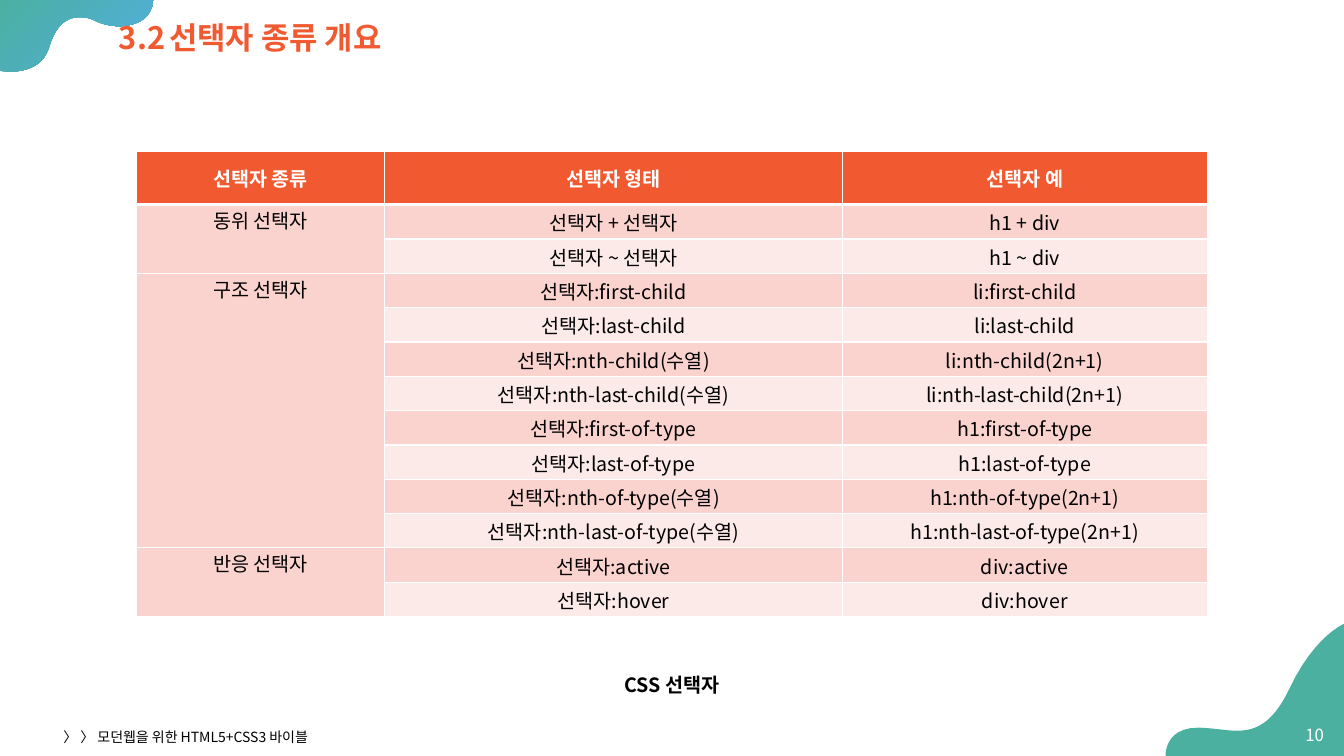
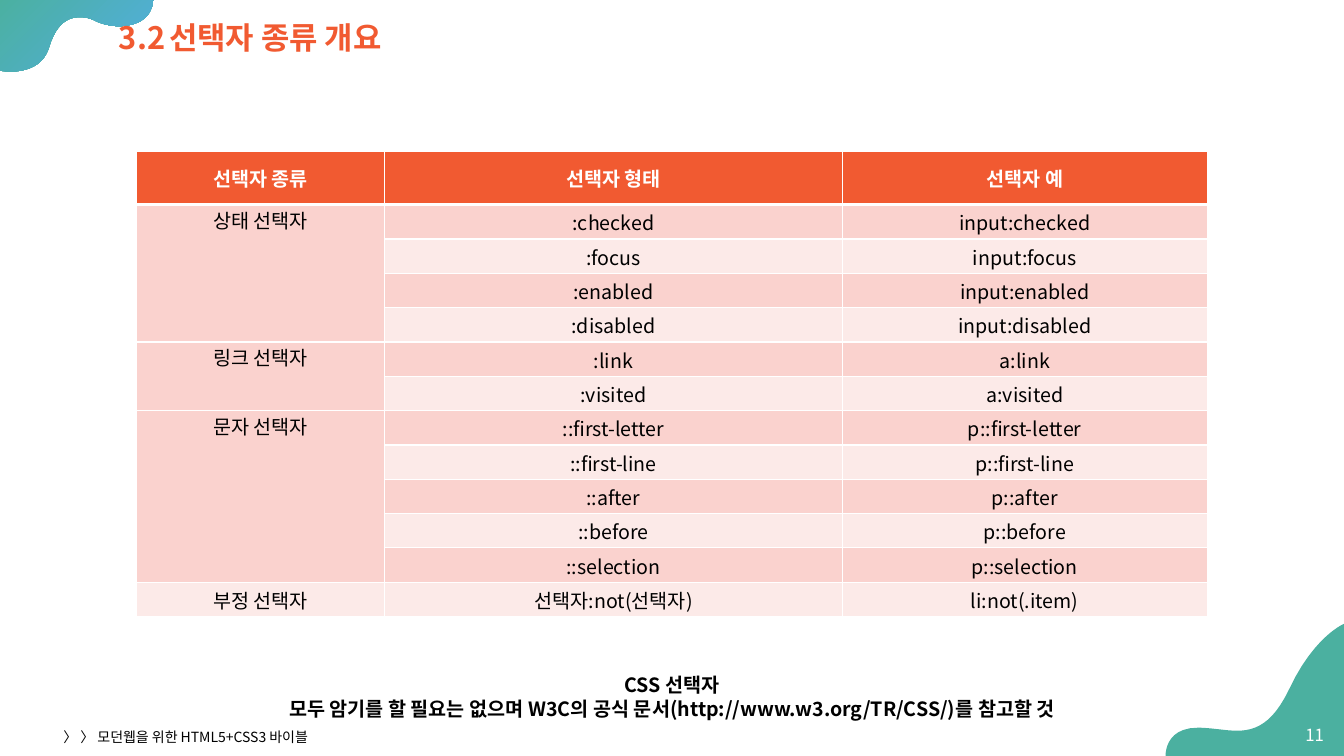
from lxml import etree
from pptx import Presentation
from pptx.dml.color import RGBColor
from pptx.enum.text import MSO_ANCHOR, MSO_AUTO_SIZE, PP_ALIGN
from pptx.oxml.ns import qn
from pptx.util import Emu, Inches, Pt

LEFT, CENTER, RIGHT = PP_ALIGN.LEFT, PP_ALIGN.CENTER, PP_ALIGN.RIGHT
TOP, MIDDLE = MSO_ANCHOR.TOP, MSO_ANCHOR.MIDDLE

SLIDE_WIDTH, SLIDE_HEIGHT = 13.33, 7.5
FONT = "Noto Sans CJK KR"
COLORS = {
    "accent": "F15A31", "band_dark": "FAD2CE", "band_light": "FCEAE8",
    "teal": "4BB0A0", "blue": "52AEE1", "white": "FFFFFF", "black": "000000",
}
TITLE_ONLY = 5
CURVE_STEPS = 12

TITLE = "3.2\t선택자 종류 개요"
FOOTER = "〉 〉 모던웹을 위한 HTML5+CSS3 바이블"
HEADERS = ["선택자 종류", "선택자 형태", "선택자 예"]
COLUMN_WIDTHS = [2.46, 4.54, 3.62]
TABLE_TOP, TABLE_HEIGHT, HEADER_HEIGHT = 1.5, 4.62, 0.53

# Outlines: a start point, then segments of one point (line) or three (curve).
TOP_WAVE = [
    (1.52, -0.02), [(-0.01, -0.02)], [(-0.01, 0.7)],
    [(-0.01, 0.7), (0.04, 0.71), (0.11, 0.71)],
    [(0.24, 0.71), (0.43, 0.67), (0.49, 0.46)],
    [(0.56, 0.23), (0.68, 0.17), (0.79, 0.17)],
    [(0.84, 0.17), (0.89, 0.18), (0.93, 0.2)],
    [(1.01, 0.24), (1.1, 0.26), (1.18, 0.26)],
    [(1.37, 0.26), (1.52, 0.17), (1.52, -0.02)],
]
BOTTOM_WAVE = [
    (13.35, 6.18),
    [(13.35, 6.18), (13.04, 6.29), (12.78, 6.85)],
    [(12.62, 7.18), (12.45, 7.25), (12.27, 7.25)],
    [(12.15, 7.25), (12.02, 7.22), (11.88, 7.22)],
    [(11.54, 7.22), (11.56, 7.51), (11.56, 7.51)],
    [(13.35, 7.51)],
]

SLIDES = [
    {
        "number": "10",
        "caption": ["CSS 선택자"],
        "caption_size": (1.15, 0.34),
        "groups": [
            ("동위 선택자", [("선택자 + 선택자", "h1 + div"),
                        ("선택자 ~ 선택자", "h1 ~ div")]),
            ("구조 선택자", [("선택자:first-child", "li:first-child"),
                        ("선택자:last-child", "li:last-child"),
                        ("선택자:nth-child(수열)", "li:nth-child(2n+1)"),
                        ("선택자:nth-last-child(수열)", "li:nth-last-child(2n+1)"),
                        ("선택자:first-of-type", "h1:first-of-type"),
                        ("선택자:last-of-type", "h1:last-of-type"),
                        ("선택자:nth-of-type(수열)", "h1:nth-of-type(2n+1)"),
                        ("선택자:nth-last-of-type(수열)", "h1:nth-last-of-type(2n+1)")]),
            ("반응 선택자", [("선택자:active", "div:active"),
                        ("선택자:hover", "div:hover")]),
        ],
    },
    {
        "number": "11",
        "caption": ["CSS 선택자",
                    "모두 암기를 할 필요는 없으며 W3C의 공식 문서"
                    "(http://www.w3.org/TR/CSS/)를 참고할 것"],
        "caption_size": (7.94, 0.57),
        "groups": [
            ("상태 선택자", [(":checked", "input:checked"), (":focus", "input:focus"),
                        (":enabled", "input:enabled"), (":disabled", "input:disabled")]),
            ("링크 선택자", [(":link", "a:link"), (":visited", "a:visited")]),
            ("문자 선택자", [("::first-letter", "p::first-letter"),
                        ("::first-line", "p::first-line"), ("::after", "p::after"),
                        ("::before", "p::before"), ("::selection", "p::selection")]),
            ("부정 선택자", [("선택자:not(선택자)", "li:not(.item)")]),
        ],
    },
]


def rgb(name):
    return RGBColor.from_string(COLORS[name])


def write_text(frame, lines, size=14, color="black", bold=False, align=LEFT,
               line_spacing=None):
    for index, line in enumerate(lines):
        paragraph = frame.paragraphs[0] if index == 0 else frame.add_paragraph()
        paragraph.alignment = align
        paragraph.space_before = Pt(0)
        if line_spacing:
            paragraph.line_spacing = line_spacing
        run = paragraph.add_run()
        run.text = line
        run.font.size, run.font.bold = Pt(size), bold
        run.font.name = FONT
        run.font.color.rgb = rgb(color)
        etree.SubElement(run.font._element, qn("a:ea"), typeface=FONT)


def add_text(slide, lines, left, top, width, height, anchor=MIDDLE, **text_format):
    box = slide.shapes.add_textbox(
        Inches(left), Inches(top), Inches(width), Inches(height))
    box.text_frame.word_wrap = True
    box.text_frame.vertical_anchor = anchor
    write_text(box.text_frame, lines, **text_format)


def curve_points(start, first_control, second_control, end):
    """Sample a cubic curve, leaving out its start point."""
    for step in range(1, CURVE_STEPS + 1):
        t = step / CURVE_STEPS
        weights = ((1 - t) ** 3, 3 * t * (1 - t) ** 2, 3 * t * t * (1 - t), t ** 3)
        points = (start, first_control, second_control, end)
        yield tuple(sum(weight * point[axis] for weight, point in zip(weights, points))
                    for axis in (0, 1))


def add_wave(slide, outline):
    points = [outline[0]]
    for segment in outline[1:]:
        points += segment if len(segment) == 1 else curve_points(points[-1], *segment)
    start, *others = [(Inches(x), Inches(y)) for x, y in points]
    builder = slide.shapes.build_freeform(*start)
    builder.add_line_segments(others, close=True)
    wave = builder.convert_to_shape()
    wave.shadow.inherit = False
    wave.line.fill.background()
    return wave


def decorate_layout(layout, slide):
    """Draw the corner waves on the slide, then move them to its layout."""
    top_wave = add_wave(slide, TOP_WAVE)
    top_wave.fill.gradient()
    top_wave.fill.gradient_angle = 315
    for stop, color in zip(top_wave.fill.gradient_stops, ("teal", "blue")):
        stop.color.rgb = rgb(color)
    bottom_wave = add_wave(slide, BOTTOM_WAVE)
    bottom_wave.fill.solid()
    bottom_wave.fill.fore_color.rgb = rgb("teal")
    for wave in (top_wave, bottom_wave):
        layout.shapes.element.append(wave.element)


def set_title(slide):
    title = slide.shapes.title
    title.left, title.top = Inches(1.08), Inches(0.18)
    title.width, title.height = Inches(SLIDE_WIDTH - 1.08), Inches(0.43)
    frame = title.text_frame
    frame.auto_size = MSO_AUTO_SIZE.NONE
    frame.vertical_anchor = MIDDLE
    write_text(frame, [TITLE], size=22, color="accent", bold=True, line_spacing=0.9)


def set_borders(cell, top=1, bottom=1):
    properties = cell._tc.get_or_add_tcPr()
    borders = (("a:lnL", 1), ("a:lnR", 1), ("a:lnT", top), ("a:lnB", bottom))
    for index, (tag, width) in enumerate(borders):
        line = etree.Element(qn(tag), w=str(Pt(width)))
        fill = etree.SubElement(line, qn("a:solidFill"))
        etree.SubElement(fill, qn("a:srgbClr"), val=COLORS["white"])
        properties.insert(index, line)


def fill_cell(cell, text, fill, anchor=MIDDLE, **text_format):
    cell.fill.solid()
    cell.fill.fore_color.rgb = rgb(fill)
    cell.vertical_anchor = anchor
    if text:
        write_text(cell.text_frame, [text], align=CENTER, **text_format)


def add_selector_table(slide, groups):
    row_count = sum(len(rows) for _, rows in groups)
    width = sum(COLUMN_WIDTHS)
    table = slide.shapes.add_table(
        row_count + 1, len(HEADERS), Inches((SLIDE_WIDTH - width) / 2),
        Inches(TABLE_TOP), Inches(width), Inches(TABLE_HEIGHT)).table
    table.horz_banding = False
    for column, column_width in zip(table.columns, COLUMN_WIDTHS):
        column.width = Inches(column_width)
    for row in table.rows:
        row.height = Inches((TABLE_HEIGHT - HEADER_HEIGHT) / row_count)
    table.rows[0].height = Inches(HEADER_HEIGHT)

    for column, header in enumerate(HEADERS):
        cell = table.cell(0, column)
        fill_cell(cell, header, "accent", color="white", bold=True)
        set_borders(cell, bottom=3)

    row = 1
    for group, selectors in groups:
        first_row = row
        for form, example in selectors:
            band = "band_dark" if row % 2 else "band_light"
            label = group if row == first_row else ""
            for column, text in enumerate((label, form, example)):
                cell = table.cell(row, column)
                cell.margin_left = cell.margin_right = cell.margin_top = Inches(0.01)
                cell.margin_bottom = Emu(0)
                spans = column == 0 and len(selectors) > 1
                fill_cell(cell, text, "band_dark" if spans else band,
                          anchor=TOP if spans else MIDDLE)
                set_borders(cell, top=3 if row == 1 else 1)
            row += 1
        if len(selectors) > 1:
            table.cell(first_row, 0).merge(table.cell(row - 1, 0))


def main():
    presentation = Presentation()
    presentation.slide_width = Inches(SLIDE_WIDTH)
    presentation.slide_height = Inches(SLIDE_HEIGHT)
    layout = presentation.slide_layouts[TITLE_ONLY]
    for index, content in enumerate(SLIDES):
        slide = presentation.slides.add_slide(layout)
        if index == 0:
            decorate_layout(layout, slide)
        set_title(slide)
        add_selector_table(slide, content["groups"])
        width, height = content["caption_size"]
        add_text(slide, content["caption"], (SLIDE_WIDTH - width) / 2, 6.63,
                 width, height, anchor=TOP, bold=True, align=CENTER)
        add_text(slide, [content["number"]], 12.79, 7.09, 0.44, 0.4,
                 size=12, color="white", align=RIGHT)
        add_text(slide, [FOOTER], 0.53, 7.19, 4.5, 0.24, size=10)
    presentation.save("out.pptx")


if __name__ == "__main__":
    main()
